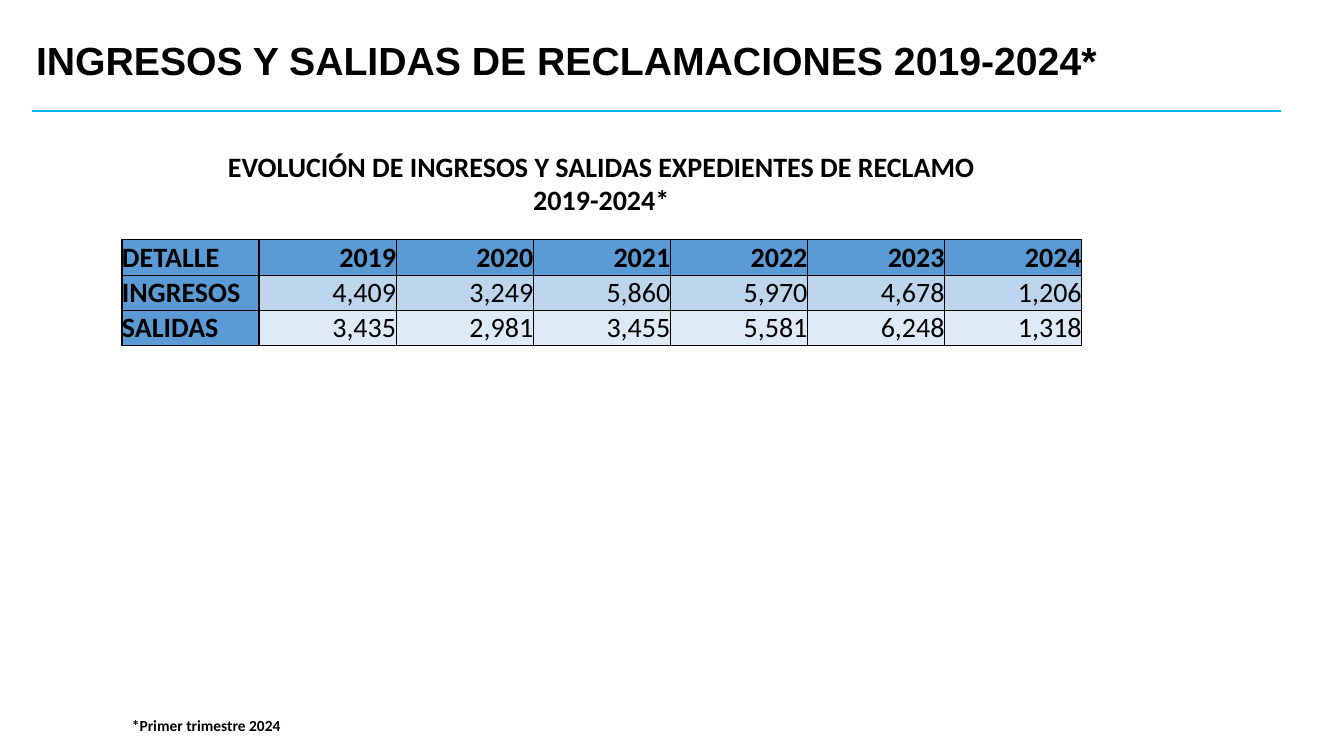
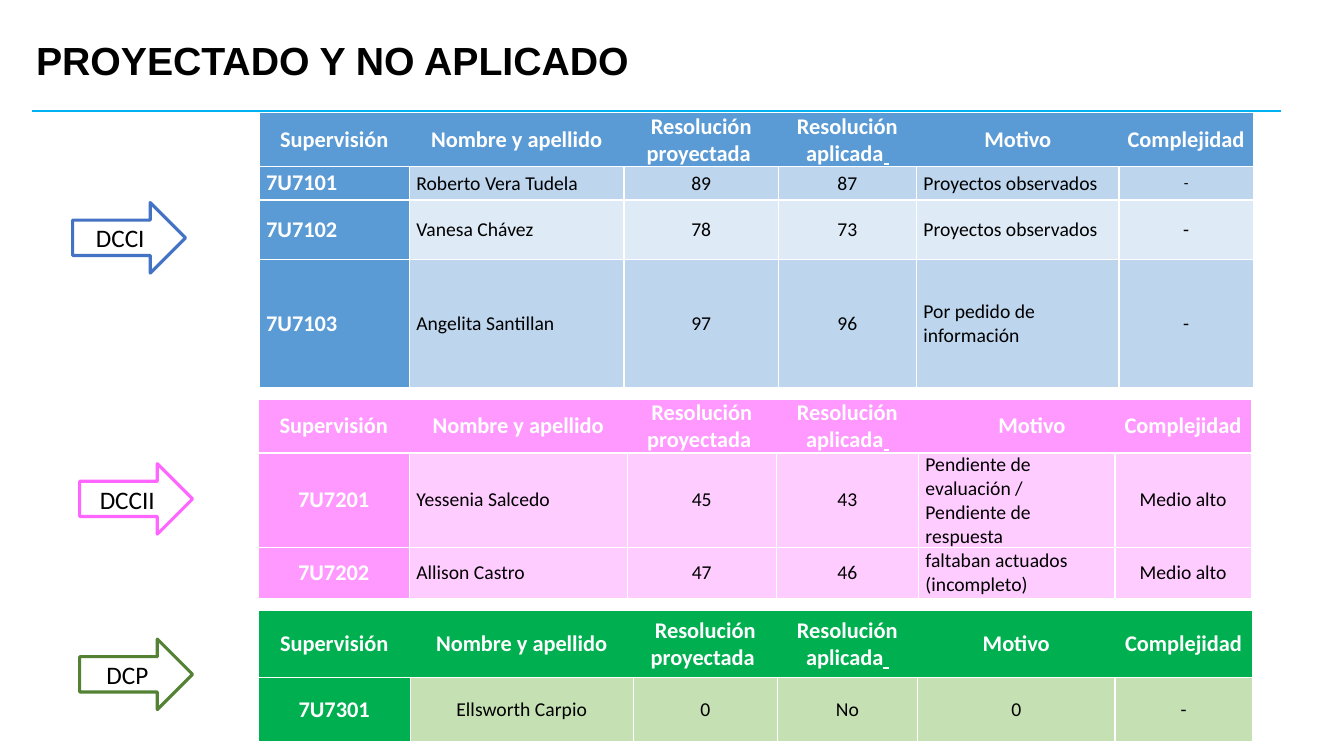
from lxml import etree
from pptx import Presentation
from pptx.dml.color import RGBColor
from pptx.enum import shapes, text
from pptx.oxml import ns
from pptx.util import Inches, Pt

BLACK = RGBColor(0x00, 0x00, 0x00)
WHITE = RGBColor(0xFF, 0xFF, 0xFF)
CYAN = RGBColor(0x00, 0xB0, 0xF0)
BLUE = RGBColor(0x5B, 0x9B, 0xD5)
BLUE_MID = RGBColor(0xBD, 0xD6, 0xEE)
BLUE_PALE = RGBColor(0xDE, 0xEA, 0xF6)
BLUE_EDGE = RGBColor(0x44, 0x72, 0xC4)
PINK = RGBColor(0xFF, 0x99, 0xFF)
PINK_PALE = RGBColor(0xFF, 0xCC, 0xFF)
PINK_EDGE = RGBColor(0xFF, 0x66, 0xFF)
GREEN = RGBColor(0x00, 0xB0, 0x50)
GREEN_PALE = RGBColor(0xC5, 0xE0, 0xB3)
GREEN_EDGE = RGBColor(0x54, 0x82, 0x35)
ALIGN = {"l": text.PP_ALIGN.LEFT, "c": text.PP_ALIGN.CENTER, "r": text.PP_ALIGN.RIGHT}
MIDDLE = text.MSO_ANCHOR.MIDDLE


def write(tf, runs, size, color=BLACK, bold=False, align="l", name="Calibri"):
    p = tf.paragraphs[0]
    p.alignment = ALIGN[align]
    for words in [runs] if isinstance(runs, str) else runs:
        r = p.add_run()
        r.text = words
        fmt = {"size": Pt(size), "bold": bold, "name": name, "underline": words == " "}
        for key, value in fmt.items():
            setattr(r.font, key, value)
        r.font.color.rgb = color
    return p


def add_table(s, x, y, cols, rows, data, fmt):
    sp = s.shapes.add_table(len(rows), len(cols), Inches(x), Inches(y),
                            Inches(sum(cols)), Inches(sum(rows)))
    tbl = sp.table
    tbl.horz_banding = False
    for col, width in zip(tbl.columns, cols):
        col.width = Inches(width)
    for row, height in zip(tbl.rows, rows):
        row.height = Inches(height)
    for i, line in enumerate(data):
        for j, words in enumerate(line):
            cell = tbl.cell(i, j)
            cell.vertical_anchor = MIDDLE
            cell.margin_left = cell.margin_right = Inches(fmt["margin"])
            cell.margin_top = cell.margin_bottom = 0
            open_head = i == 0 and fmt["open_head"]
            hidden = {"lnL": open_head and j > 0, "lnR": open_head and j < len(cols) - 1}
            for side in ("lnL", "lnR", "lnT", "lnB"):
                ln = etree.SubElement(cell._tc.get_or_add_tcPr(), ns.qn("a:" + side), w=str(Pt(1)))
                if hidden.get(side):
                    etree.SubElement(ln, ns.qn("a:noFill"))
                else:
                    fill = etree.SubElement(ln, ns.qn("a:solidFill"))
                    etree.SubElement(fill, ns.qn("a:srgbClr"), val=str(fmt["border"]))
            key = i == 0 or j == 0
            cell.fill.solid()
            cell.fill.fore_color.rgb = fmt["head"] if key else fmt["bands"][(i - 1) % len(fmt["bands"])]
            write(cell.text_frame, words, fmt["key_size"] if key else fmt["size"],
                  fmt["key_color"] if key else BLACK, key,
                  fmt["head_align" if i == 0 else "align"][j])
    return tbl


prs = Presentation()
prs.slide_width, prs.slide_height = Inches(13.33), Inches(7.5)

slides = []
for title in ("INGRESOS Y SALIDAS DE RECLAMACIONES 2019-2024*", "PROYECTADO Y NO APLICADO"):
    s = prs.slides.add_slide(prs.slide_layouts[6])
    slides.append(s)
    line = s.shapes.add_connector(shapes.MSO_CONNECTOR.STRAIGHT,
                                  Inches(0.32), Inches(1.1), Inches(12.71), Inches(1.1))
    line.line.color.rgb = CYAN
    line.line.width = Pt(1.5)
    etree.SubElement(line._element.spPr, ns.qn("a:effectLst"))
    tf = s.shapes.add_textbox(Inches(0.26), Inches(0.27), Inches(11.5), Inches(0.7)).text_frame
    tf.word_wrap = True
    tf.vertical_anchor = MIDDLE
    write(tf, title, 28, bold=True, name="Arial").line_spacing = 0.9

s = slides[0]
for box, words, size, align in (
    ((1.83, 1.43, 8.27, 0.77),
     "EVOLUCIÓN DE INGRESOS Y SALIDAS EXPEDIENTES DE RECLAMO 2019-2024*", 20, "c"),
    ((1.21, 7.06, 2.86, 0.29), "*Primer trimestre 2024", 11, "l"),
):
    tf = s.shapes.add_textbox(*map(Inches, box)).text_frame
    tf.word_wrap = True
    write(tf, words, size, bold=True, align=align)

add_table(s, 1.21, 2.38, [1.36] * 7, [0.35] * 3, [
    ["DETALLE", "2019", "2020", "2021", "2022", "2023", "2024"],
    ["INGRESOS", "4,409", "3,249", "5,860", "5,970", "4,678", "1,206"],
    ["SALIDAS", "3,435", "2,981", "3,455", "5,581", "6,248", "1,318"],
], {"margin": 0, "border": BLACK, "open_head": False, "head": BLUE,
    "bands": [BLUE_MID, BLUE_PALE], "key_size": 20, "size": 20, "key_color": BLACK,
    "head_align": "lrrrrrr", "align": "lrrrrrr"})

s = slides[1]
for x, y, words, color in ((0.72, 2.01, "DCCI", BLUE_EDGE),
                           (0.79, 4.6, "DCCII", PINK_EDGE),
                           (0.79, 6.34, "DCP", GREEN_EDGE)):
    sp = s.shapes.add_shape(shapes.MSO_SHAPE.RIGHT_ARROW,
                            Inches(x), Inches(y), Inches(1.12), Inches(0.7))
    sp.shadow.inherit = False
    sp.fill.solid()
    sp.fill.fore_color.rgb = WHITE
    sp.line.color.rgb = color
    sp.line.width = Pt(2.25)
    sp.text_frame.vertical_anchor = MIDDLE
    write(sp.text_frame, words, 18, align="c")

header = ["Supervisión", "Nombre y apellido", "Resolución proyectada ",
          ["Resolución", " ", "aplicada", " "], "Motivo", "Complejidad"]
common = {"margin": 0.07, "border": WHITE, "open_head": True, "key_size": 16,
          "size": 14, "key_color": WHITE, "head_align": "cccccc"}

dcci = add_table(s, 2.57, 1.12, [1.49, 2.13, 1.53, 1.37, 2.01, 1.33], [0.51, 0.33, 0.59, 1.27], [
    header,
    ["7U7101", "Roberto Vera Tudela", "89", "87", "Proyectos observados", "-"],
    ["7U7102", "Vanesa Chávez", "78", "73", "Proyectos observados", "-"],
    ["7U7103", "Angelita Santillan", "97", "96", "Por pedido de información", "-"],
], {**common, "head": BLUE, "bands": [BLUE_MID, BLUE_PALE], "align": "llcclc"})
dcci.cell(1, 5).text_frame.paragraphs[0].runs[0].font.size = Pt(11)

dccii = add_table(s, 2.56, 3.96, [1.5, 2.16, 1.48, 1.41, 1.95, 1.35], [0.53, 0.51, 0.51], [
    header,
    ["7U7201", "Yessenia Salcedo", "45", "43",
     "Pendiente de evaluación / Pendiente de respuesta", "Medio alto"],
    ["7U7202", "Allison Castro", "47", "46", "faltaban actuados (incompleto)", "Medio alto"],
], {**common, "head": PINK, "bands": [PINK_PALE], "align": "clcclc"})
dccii.cell(0, 4).margin_left = Inches(0.37)

add_table(s, 2.56, 6.06, [1.51, 2.21, 1.43, 1.39, 1.96, 1.36], [0.66, 0.64], [
    header,
    ["7U7301", "Ellsworth Carpio", "0", "No", "0", "-"],
], {**common, "head": GREEN, "bands": [GREEN_PALE], "align": "cccccc"})

prs.save("out.pptx")
